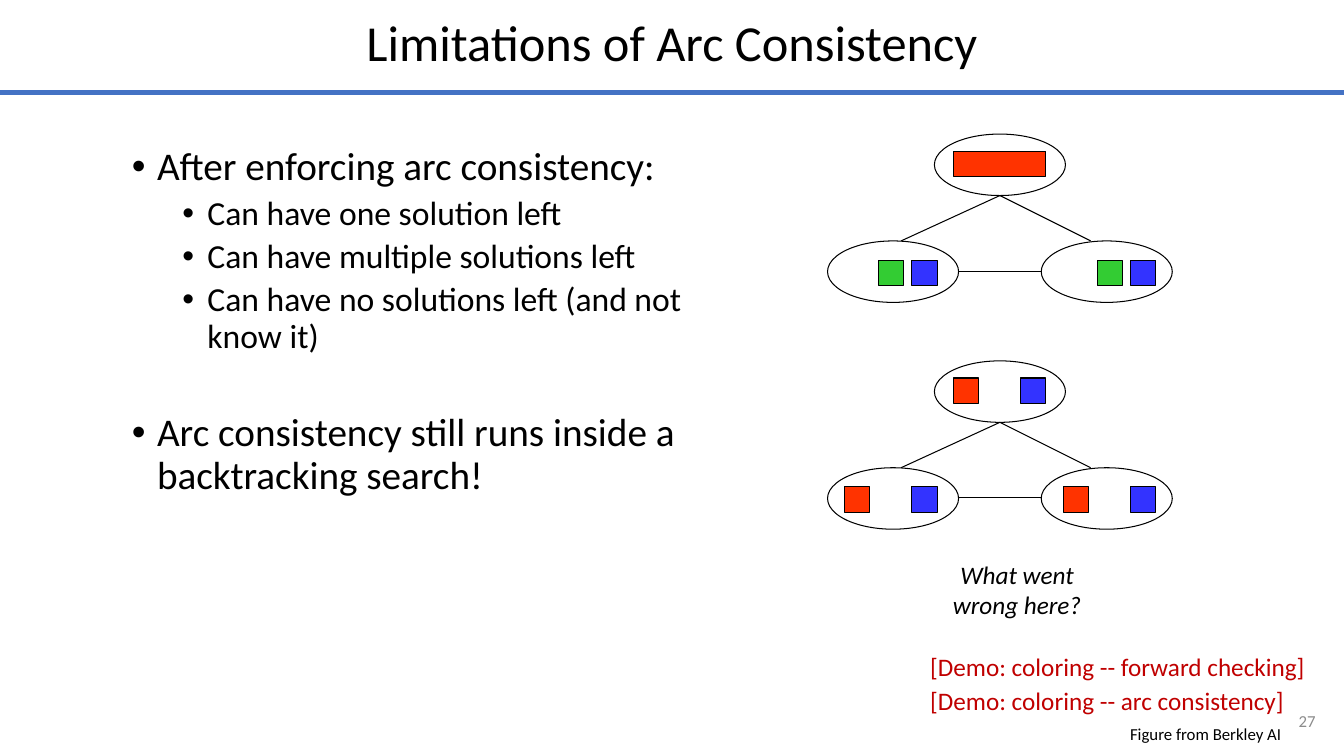
from pptx import Presentation
from pptx.dml.color import RGBColor
from pptx.enum.shapes import MSO_CONNECTOR as Connector, MSO_SHAPE as Shape
from pptx.enum.text import MSO_ANCHOR as Anchor, PP_ALIGN as Align
from pptx.oxml.ns import qn
from pptx.util import Inches, Pt
from lxml.etree import SubElement

BLACK = RGBColor(0x00, 0x00, 0x00)
GRAY = RGBColor(0x8C, 0x8C, 0x8C)
RULE_BLUE = RGBColor(0x44, 0x72, 0xC4)
DEMO_RED = RGBColor(0xC0, 0x00, 0x00)
RED = RGBColor(0xFF, 0x33, 0x00)
GREEN = RGBColor(0x33, 0xCC, 0x33)
BLUE = RGBColor(0x33, 0x33, 0xFF)

COLUMNS, ROWS = 133.33, 75
NODE_WIDTH, NODE_HEIGHT = 13, 6.1
VALUE_SIZE, VALUE_STEP = 2.5, 3.33
VALUE_ORDER = [RED, GREEN, BLUE]
NODES = {"top": (92.7, 0, 1.9, 1.7),
         "left": (82.1, 10.6, 1.7, 1.9),
         "right": (103.3, 10.6, 2.2, 1.9)}
EDGES = [(99.2, 6.1, 89.4, 10.6),
         (99.2, 6.1, 108.2, 10.6),
         (95.1, 13.6, 103.3, 13.6)]


def grid(units):
    """Turn grid units, a tenth of an inch each way, into a length."""
    return Inches(units / 10)


def write(paragraph, text, size=18, color=BLACK, italic=False, align=Align.LEFT,
          line=1.0, before=0, indent=None, font="Calibri"):
    """Fill a paragraph with formatted text, bulleted when indented."""
    paragraph.alignment = align
    paragraph.line_spacing = line
    paragraph.space_before = Pt(before)
    if indent is not None:
        properties = paragraph._p.get_or_add_pPr()
        properties.set("marL", str(grid(indent)))
        properties.set("indent", str(-grid(2.5)))
        SubElement(properties, qn("a:buFont"), typeface="Arial")
        SubElement(properties, qn("a:buChar"), char="•")
    run = paragraph.add_run()
    run.text = text
    run.font.name, run.font.size = font, Pt(size)
    run.font.italic = italic
    run.font.color.rgb = color


class SlideBuilder:
    """Holds the outline style and the slide being drawn."""

    def __init__(self, slide, outline=BLACK, outline_width=0.75):
        """Keep the slide and the outline used by its shapes."""
        self.slide = slide
        self.outline = outline
        self.outline_width = outline_width

    def text(self, box, *paragraphs, anchor=Anchor.TOP):
        """Add a text box from pairs of text and format."""
        frame = self.slide.shapes.add_textbox(*map(grid, box)).text_frame
        frame.word_wrap = True
        frame.vertical_anchor = anchor
        for number, (words, style) in enumerate(paragraphs):
            paragraph = frame.add_paragraph() if number else frame.paragraphs[0]
            write(paragraph, words, **style)

    def shape(self, kind, box, fill=None):
        """Add an outlined shape, hollow unless a fill is given."""
        figure = self.slide.shapes.add_shape(kind, *map(grid, box))
        figure.shadow.inherit = False
        if fill is None:
            figure.fill.background()
        else:
            figure.fill.solid()
            figure.fill.fore_color.rgb = fill
        figure.line.color.rgb = self.outline
        figure.line.width = Pt(self.outline_width)

    def line(self, ends, color=None, width=None):
        """Add a straight line."""
        edge = self.slide.shapes.add_connector(Connector.STRAIGHT, *map(grid, ends))
        edge.line.color.rgb = color or self.outline
        edge.line.width = Pt(width or self.outline_width)
        SubElement(edge._element.spPr, qn("a:effectLst"))

    def constraint_graph(self, top, domains):
        """Draw three linked variables and the values left in each."""
        for x, y, _, _ in NODES.values():
            self.shape(Shape.OVAL, (x, top + y, NODE_WIDTH, NODE_HEIGHT))
        for x1, y1, x2, y2 in EDGES:
            self.line((x1, top + y1, x2, top + y2))
        for name, values in domains.items():
            x, y, inset, drop = NODES[name]
            for value, span in values:
                slot = VALUE_ORDER.index(value)
                width = VALUE_SIZE + (span - 1) * VALUE_STEP
                self.shape(Shape.RECTANGLE,
                           (x + inset + slot * VALUE_STEP, top + y + drop,
                            width, VALUE_SIZE), value)


def main():
    """Build the slide and save it."""
    deck = Presentation()
    deck.slide_width, deck.slide_height = grid(COLUMNS), grid(ROWS)
    page = SlideBuilder(deck.slides.add_slide(deck.slide_layouts[6]))

    page.text((0, -0.2, COLUMNS, 9.4),
              ("Limitations of Arc Consistency",
               dict(size=36, align=Align.CENTER, line=0.9)), anchor=Anchor.MIDDLE)
    page.line((0, 9.2, COLUMNS, 9.2), RULE_BLUE, 3.75)

    point = dict(size=28, line=0.9, indent=2.5)
    outcome = dict(size=24, line=0.9, indent=7.5, before=5)
    page.text((12.1, 14.1, 60.8, 49.5),
              ("After enforcing arc consistency:", point),
              ("Can have one solution left", outcome),
              ("Can have multiple solutions left", outcome),
              ("Can have no solutions left (and not know it)", outcome),
              ("Arc consistency still runs inside a backtracking search!",
               dict(point, before=41)))

    green_or_blue = [(GREEN, 1), (BLUE, 1)]
    red_or_blue = [(RED, 1), (BLUE, 1)]
    page.constraint_graph(13.3, {"top": [(RED, 3)], "left": green_or_blue,
                                 "right": green_or_blue})
    page.constraint_graph(35.8, dict.fromkeys(NODES, red_or_blue))

    page.text((91.3, 55, 19.2, 7.1),
              ("What went wrong here?", dict(italic=True, align=Align.CENTER)))
    demos = ["forward checking", "arc consistency"]
    for number, demo in enumerate(demos):
        page.text((91.3, 64.1 + 3.4 * number, 42, 4),
                  (f"[Demo: coloring -- {demo}]", dict(color=DEMO_RED)))
    page.text((108.3, 71.5, 19.8, 2.7),
              ("Figure from Berkley AI", dict(size=12, align=Align.RIGHT, line=0.9)))
    page.text((124.7, 69.5, 6.8, 4),
              ("27", dict(size=12, color=GRAY, align=Align.RIGHT)),
              anchor=Anchor.MIDDLE)

    deck.save("out.pptx")


if __name__ == "__main__":
    main()
